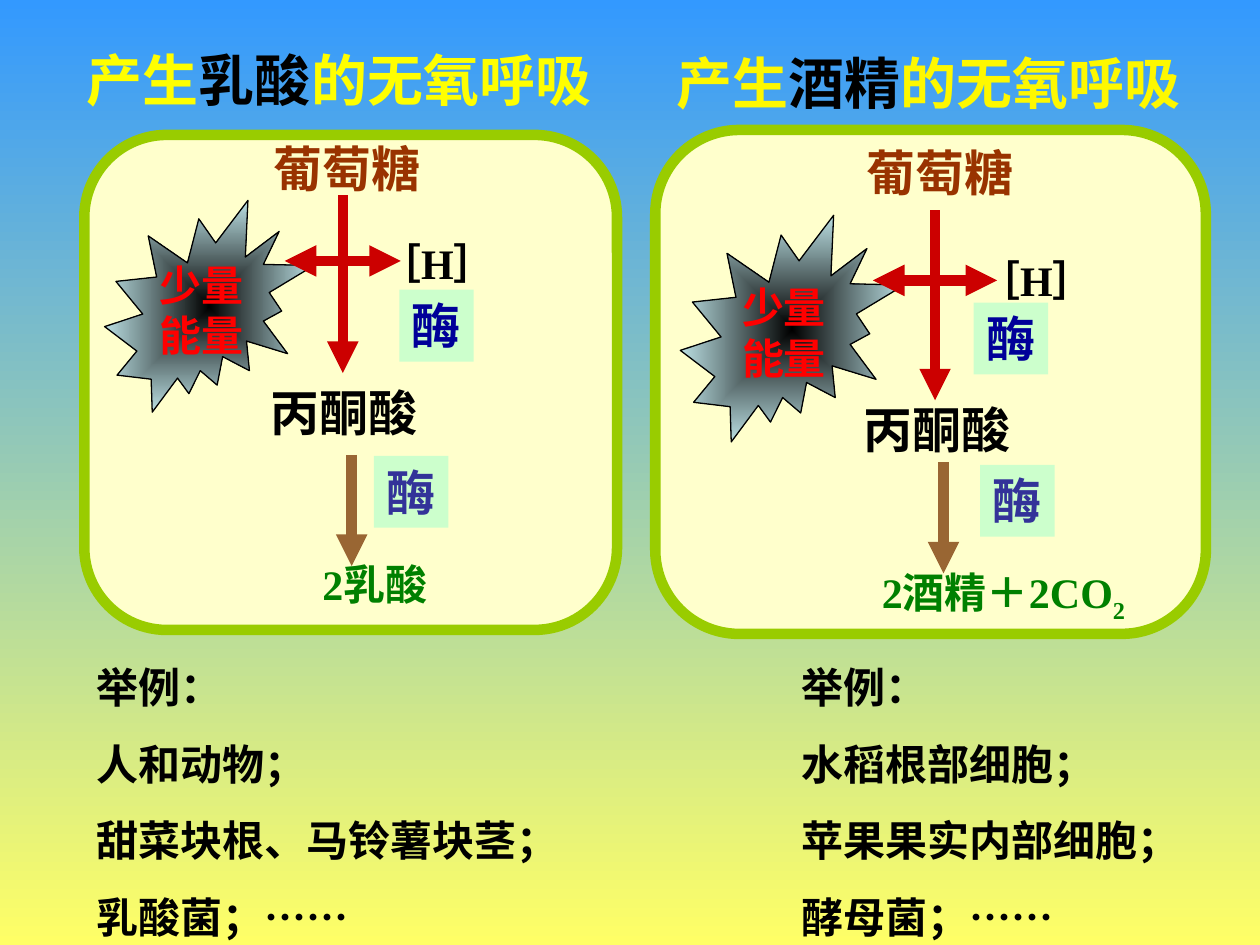
from dataclasses import dataclass

from lxml import etree
from pptx import Presentation
from pptx.dml.color import RGBColor
from pptx.enum.shapes import MSO_CONNECTOR, MSO_SHAPE
from pptx.enum.text import MSO_ANCHOR, MSO_AUTO_SIZE, PP_ALIGN
from pptx.oxml.ns import qn
from pptx.util import Cm, Pt

LEFT, CENTER = PP_ALIGN.LEFT, PP_ALIGN.CENTER
TOP, MIDDLE = MSO_ANCHOR.TOP, MSO_ANCHOR.MIDDLE
GROW = MSO_AUTO_SIZE.SHAPE_TO_FIT_TEXT
FIXED = MSO_AUTO_SIZE.NONE
ROUNDED, BURST = MSO_SHAPE.ROUNDED_RECTANGLE, MSO_SHAPE.EXPLOSION2
STRAIGHT = MSO_CONNECTOR.STRAIGHT


@dataclass(frozen=True)
class Theme:
    sky: str = "3399FF"
    sand: str = "FFFF66"
    black: str = "000000"
    panel: str = "FFFFCC"
    panel_edge: str = "99CC00"
    sugar: str = "993300"
    energy: str = "FF0000"
    burst_edge: str = "BBE0E3"
    enzyme_fill: str = "CCFFCC"
    first_enzyme: str = "000099"
    second_enzyme: str = "333399"
    first_arrow: str = "CC0000"
    second_arrow: str = "996633"
    product: str = "008000"
    serif: str = "Times New Roman"
    sans: str = "Arial"
    title_size: int = 32
    large: int = 28
    body: int = 24
    heavy_line: int = 6
    paragraph_gap: int = 15


class Board:
    """Holds the theme and the current slide."""

    def __init__(self, slide, theme):
        self.slide, self.theme = slide, theme

    def gradient(self, fill, *colours):
        fill.gradient()
        for stop, colour in zip(fill.gradient_stops, colours):
            stop.color.rgb = RGBColor.from_string(colour)

    def background(self):
        fill = self.slide.background.fill
        self.gradient(fill, self.theme.sky, self.theme.sand)
        fill.gradient_angle = 270

    def style(self, run, size, colour, font=None):
        run.font.name = font or self.theme.serif
        run.font.size = Pt(size)
        run.font.bold = True
        run.font.color.rgb = RGBColor.from_string(colour)

    def label(self, box, text, size, colour, align=LEFT, fill=None):
        """One line of text, on a coloured ground if fill is given."""
        label = self.slide.shapes.add_textbox(*map(Cm, box))
        frame = label.text_frame
        frame.text = text
        frame.word_wrap, frame.auto_size = False, GROW
        line = frame.paragraphs[0]
        line.alignment = align
        self.style(line.runs[0], size, colour)
        if fill:
            label.fill.solid()
            label.fill.fore_color.rgb = RGBColor.from_string(fill)
        return line

    def subscript(self, line, text, size, colour):
        run = line.add_run()
        run.text = text
        self.style(run, size, colour)
        run.font._element.set("baseline", "-25000")

    def title(self, box, acid, colour, font, anchor):
        frame = self.slide.shapes.add_textbox(*map(Cm, box)).text_frame
        frame.word_wrap, frame.auto_size = True, FIXED
        frame.vertical_anchor = anchor
        parts = (("产生", colour), (acid, self.theme.black), ("的无氧呼吸", colour))
        for text, part_colour in parts:
            run = frame.paragraphs[0].add_run()
            run.text = text
            self.style(run, self.theme.title_size, part_colour, font)

    def examples(self, box, lines):
        frame = self.slide.shapes.add_textbox(*map(Cm, box)).text_frame
        frame.word_wrap, frame.auto_size = True, FIXED
        frame.text = "\n".join(lines)
        for index, paragraph in enumerate(frame.paragraphs):
            if index:
                paragraph.space_before = Pt(self.theme.paragraph_gap)
            self.style(paragraph.runs[0], self.theme.body, self.theme.black)

    def panel(self, box):
        panel = self.slide.shapes.add_shape(ROUNDED, *map(Cm, box))
        panel.shadow.inherit = False
        panel.fill.solid()
        panel.fill.fore_color.rgb = RGBColor.from_string(self.theme.panel)
        panel.line.color.rgb = RGBColor.from_string(self.theme.panel_edge)
        panel.line.width = Pt(self.theme.heavy_line)

    def burst(self, box, text):
        burst = self.slide.shapes.add_shape(BURST, *map(Cm, box))
        burst.shadow.inherit = False
        self.gradient(burst.fill, self.theme.black, self.theme.burst_edge)
        # The gradient spreads from the centre
        linear = burst._element.spPr.find(qn("a:gradFill")).find(qn("a:lin"))
        spread = etree.Element(qn("a:path"), path="rect")
        etree.SubElement(spread, qn("a:fillToRect"),
                         {side: "50000" for side in "ltrb"})
        linear.getparent().replace(linear, spread)
        burst.line.color.rgb = RGBColor.from_string(self.theme.black)
        burst.line.width = Pt(0.75)
        frame = burst.text_frame
        frame.text = text
        frame.word_wrap, frame.vertical_anchor = False, MIDDLE
        for paragraph in frame.paragraphs:
            paragraph.alignment = CENTER
            self.style(paragraph.runs[0], self.theme.body, self.theme.energy)

    def arrow(self, x1, y1, x2, y2, colour):
        arrow = self.slide.shapes.add_connector(STRAIGHT, *map(Cm, (x1, y1, x2, y2)))
        arrow.line.color.rgb = RGBColor.from_string(colour)
        arrow.line.width = Pt(self.theme.heavy_line)
        etree.SubElement(arrow.line._get_or_add_ln(), qn("a:tailEnd"), type="triangle")
        etree.SubElement(arrow._element.spPr, qn("a:effectLst"))

    def first_step(self, x, y, scale, sugar, pyruvate, enzyme):
        """Glucose to pyruvate; x, y is the start of the downward arrow."""
        t = self.theme
        self.label((*sugar, 4.5, 1.45), "葡萄糖", t.large, t.sugar, CENTER)
        self.label((*pyruvate, 4.5, 1.45), "丙酮酸", t.large, t.black, CENTER)
        self.burst((x - 4.8 * scale, y + 0.1, 4.22 * scale, 4.27 * scale), "少量\n能量")
        self.arrow(x, y, x, y + 3.58 * scale, t.first_arrow)
        branch = y + 1.32 * scale
        for reach in (-1.17, 1.17):
            self.arrow(x, branch, x + reach * scale, branch, t.first_arrow)
        self.label((x + 1.91 * scale - 2.25, y + 0.72 * scale, 4.5, 1.27),
                   "［H］", t.body, t.black, CENTER)
        self.label((*enzyme, 1.5, 1.45), "酶", t.large, t.first_enzyme,
                   fill=t.enzyme_fill)

    def second_step(self, x, y, enzyme, product_box, product, subscript):
        """Pyruvate to the end product; x, y is the start of the arrow."""
        t = self.theme
        self.arrow(x, y, x, y + 2.24, t.second_arrow)
        line = self.label(product_box, product, t.body, t.product)
        if subscript:
            self.subscript(line, subscript, t.body, t.product)
        self.label((*enzyme, 1.5, 1.45), "酶", t.large, t.second_enzyme,
                   fill=t.enzyme_fill)


THEME = Theme()
PATHWAYS = (
    dict(
        title=((1.5, 0, 11.56, 3.18), "乳酸", "FFFF00", THEME.sans, MIDDLE),
        panel=(1.7, 2.72, 10.74, 9.98),
        first=(6.91, 3.94, 1, (4.74, 2.67), (4.69, 7.59), (8.05, 5.84)),
        second=(7.09, 9.17, (7.54, 9.19), (6.25, 11.13, 3.02, 1.27), "2乳酸", ""),
        examples=((1.7, 13.21, 10.24, 5.92),
                  ("举例：", "人和动物；", "甜菜块根、马铃薯块茎；", "乳酸菌；……")),
    ),
    dict(
        title=((13.39, 0.86, 11.4, 1.63), "酒精", "FEF800", THEME.serif, TOP),
        panel=(13.21, 2.62, 11.1, 10.16),
        first=(18.85, 4.24, 1.07, (16.7, 2.74), (16.64, 7.92), (19.63, 6.1)),
        second=(19.02, 9.32, (19.76, 9.37), (17.53, 11.3, 5.82, 1.42),
                "2酒精＋2CO", "2"),
        examples=((15.9, 13.21, 8.13, 5.92),
                  ("举例：", "水稻根部细胞；", "苹果果实内部细胞；", "酵母菌；……")),
    ),
)


def main():
    deck = Presentation()
    deck.slide_width, deck.slide_height = Cm(25.4), Cm(19.05)
    board = Board(deck.slides.add_slide(deck.slide_layouts[6]), THEME)
    board.background()
    # Lactic acid on the left, alcohol on the right
    for pathway in PATHWAYS:
        board.title(*pathway["title"])
        board.panel(pathway["panel"])
        board.first_step(*pathway["first"])
        board.second_step(*pathway["second"])
        board.examples(*pathway["examples"])
    deck.save("out.pptx")


if __name__ == "__main__":
    main()
